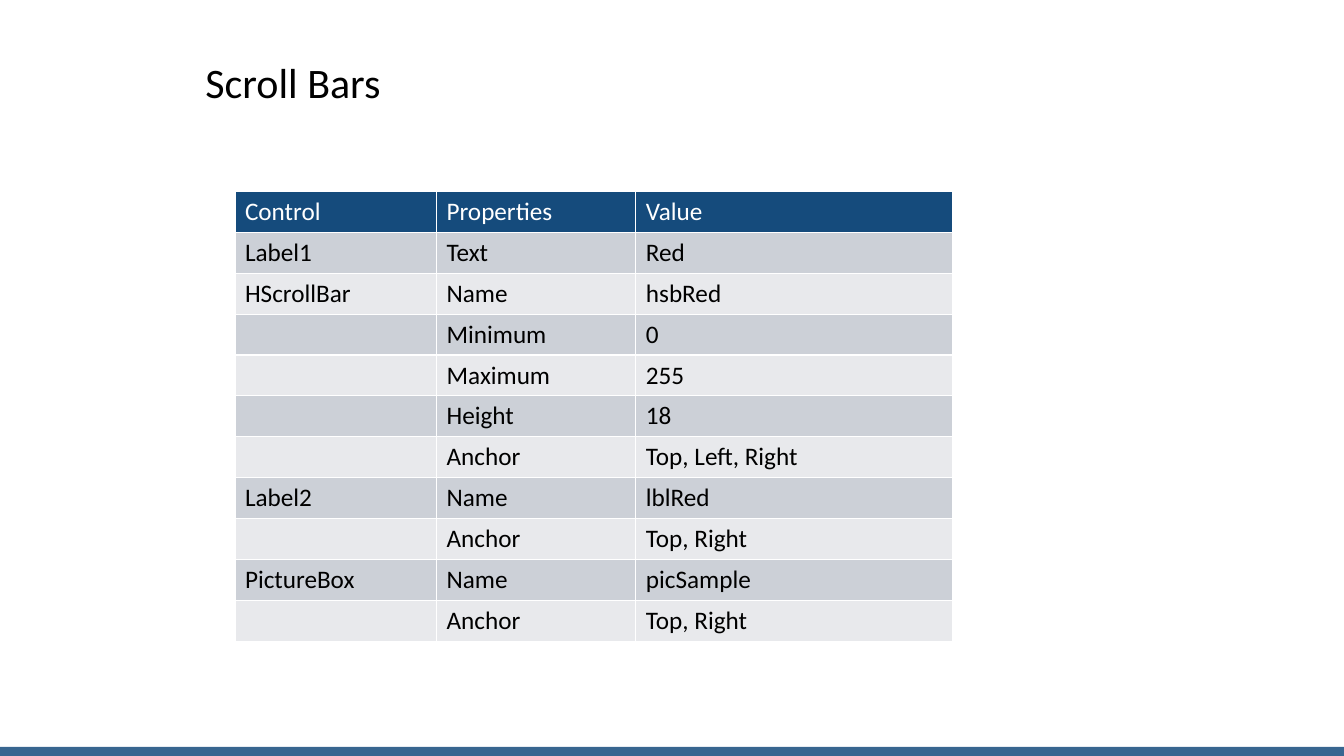
import pptx
import pptx.dml.color
import pptx.enum.shapes
import pptx.enum.text
import pptx.util

Pt = pptx.util.Pt


def color(hex_string):
    return pptx.dml.color.RGBColor.from_string(hex_string)


def write_text(text_frame, text, size=18, text_color="000000", line_spacing=1.0):
    paragraph = text_frame.paragraphs[0]
    paragraph.line_spacing = line_spacing
    run = paragraph.add_run()
    run.text = text
    run.font.name = "Calibri"
    run.font.size = Pt(size)
    run.font.bold = False
    run.font.color.rgb = color(text_color)


presentation = pptx.Presentation()
presentation.slide_width = Pt(960)
presentation.slide_height = Pt(540)
slide = presentation.slides.add_slide(presentation.slide_layouts[6])

footer_bar = slide.shapes.add_shape(
    pptx.enum.shapes.MSO_SHAPE.RECTANGLE, Pt(0), Pt(533.5), Pt(960), Pt(6.5)
)
footer_bar.shadow.inherit = False
footer_bar.fill.solid()
footer_bar.fill.fore_color.rgb = color("386690")
footer_bar.line.fill.background()

title = slide.shapes.add_textbox(Pt(139.7), Pt(31.7), Pt(568), Pt(58.3))
title.text_frame.word_wrap = True
title.text_frame.vertical_anchor = pptx.enum.text.MSO_ANCHOR.MIDDLE
write_text(title.text_frame, "Scroll Bars", size=30, line_spacing=0.9)

properties = [
    ("Control", "Properties", "Value"),
    ("Label1", "Text", "Red"),
    ("HScrollBar", "Name", "hsbRed"),
    ("", "Minimum", "0"),
    ("", "Maximum", "255"),
    ("", "Height", "18"),
    ("", "Anchor", "Top, Left, Right"),
    ("Label2", "Name", "lblRed"),
    ("", "Anchor", "Top, Right"),
    ("PictureBox", "Name", "picSample"),
    ("", "Anchor", "Top, Right"),
]
column_widths = [144, 142.4, 226]
row_height = 29.2
band_fills = ["E8E9EC", "CCD0D7"]

table = slide.shapes.add_table(
    len(properties), len(column_widths), Pt(167.8), Pt(136.8),
    Pt(sum(column_widths)), Pt(row_height * len(properties)),
).table
for column, width in zip(table.columns, column_widths):
    column.width = Pt(width)
for row_index, values in enumerate(properties):
    table.rows[row_index].height = Pt(row_height)
    is_header = row_index == 0
    for column_index, value in enumerate(values):
        cell = table.cell(row_index, column_index)
        cell.fill.solid()
        cell.fill.fore_color.rgb = color("154B7C" if is_header else band_fills[row_index % 2])
        if value:
            write_text(cell.text_frame, value, text_color="FFFFFF" if is_header else "000000")

presentation.save("out.pptx")
